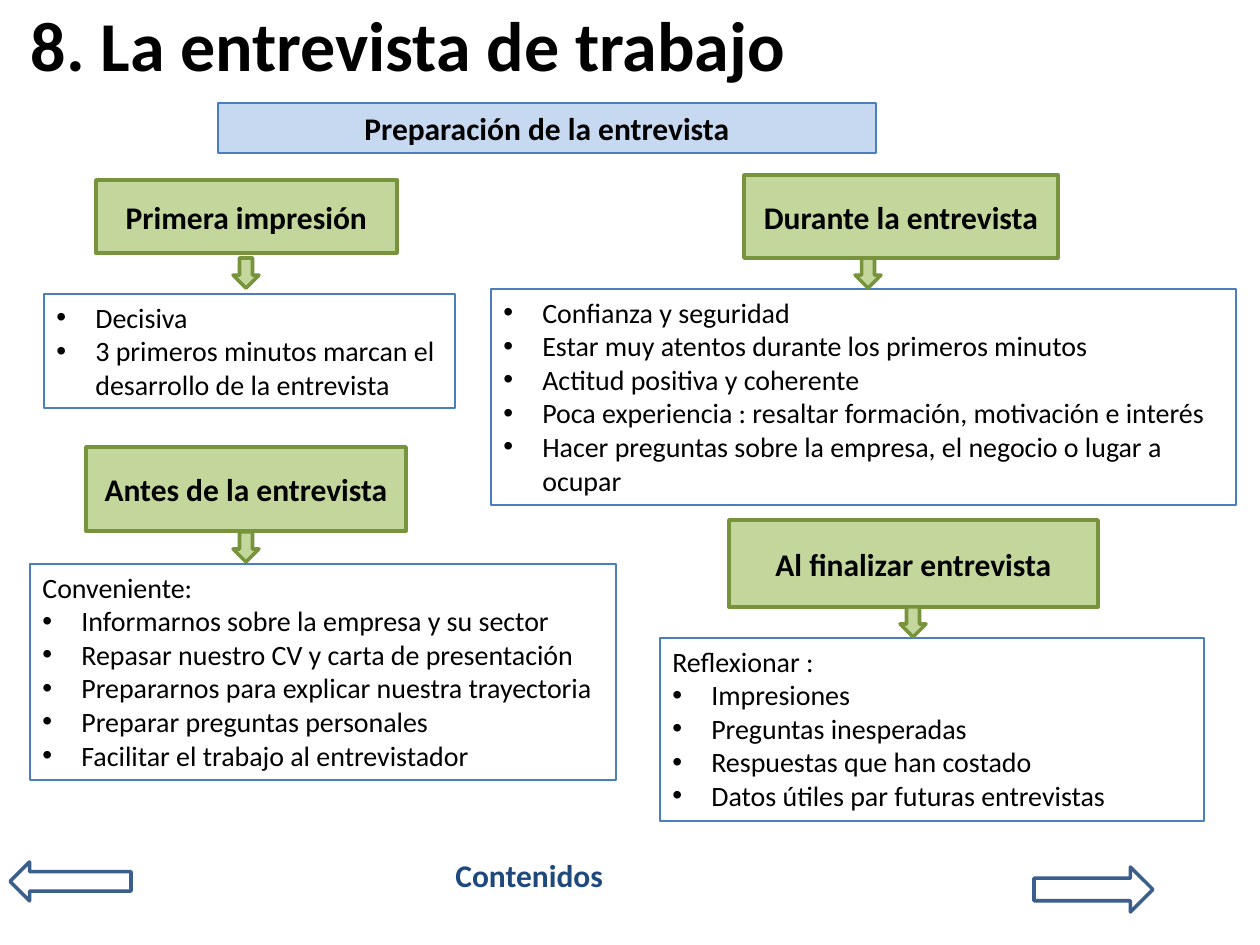
from pptx import Presentation
from pptx import util as u
from pptx.dml.color import RGBColor
from pptx.enum import shapes, text
from lxml import etree

BLACK = RGBColor(0, 0, 0)
NAVY = RGBColor(0x1F, 0x49, 0x7D)
SKY = RGBColor(0xC6, 0xD9, 0xF1)
BLUE = RGBColor(0x4B, 0x7E, 0xBC)
STEEL = RGBColor(0x3A, 0x5F, 0x8C)
GREEN = RGBColor(0xC3, 0xD6, 0x9B)
OLIVE = RGBColor(0x77, 0x93, 0x3C)
KIND = shapes.MSO_SHAPE
MID = text.MSO_ANCHOR.MIDDLE
TOP = text.MSO_ANCHOR.TOP
LEFT = text.PP_ALIGN.LEFT
CENTER = text.PP_ALIGN.CENTER

TITLE = "8. La entrevista de trabajo"
BANNER = "Preparación de la entrevista"
GROUPS = [
    dict(head="Primera impresión", head_at=(96, 180, 301, 73),
         arrow=(246, 273), box=(44, 294, 411, 114), lead=None,
         items=["Decisiva", "3 primeros minutos marcan el desarrollo de la entrevista"]),
    dict(head="Durante la entrevista", head_at=(744, 175, 314, 83),
         arrow=(868, 273), box=(491, 289, 745, 216), lead=None,
         items=["Confianza y seguridad",
                "Estar muy atentos durante los primeros minutos",
                "Actitud positiva y coherente",
                "Poca experiencia : resaltar formación, motivación e interés",
                "Hacer preguntas sobre la empresa, el negocio o lugar a ocupar"]),
    dict(head="Antes de la entrevista", head_at=(86, 447, 320, 84),
         arrow=(246, 547), box=(30, 564, 586, 216), lead="Conveniente:",
         items=["Informarnos sobre la empresa y su sector",
                "Repasar nuestro CV y carta de presentación",
                "Prepararnos para explicar nuestra trayectoria",
                "Preparar preguntas personales",
                "Facilitar el trabajo al entrevistador"]),
    dict(head="Al finalizar entrevista", head_at=(729, 520, 369, 87),
         arrow=(913, 622), box=(660, 638, 544, 183), lead="Reflexionar :",
         items=["Impresiones", "Preguntas inesperadas",
                "Respuestas que han costado",
                "Datos útiles par futuras entrevistas"]),
]
NAV = [(KIND.LEFT_ARROW, (10, 862, 121, 39)),
       (KIND.RIGHT_ARROW, (1034, 867, 119, 45))]


def px(n):
    return round(n * 914400 / 126)


def write(shape, lines, size, color=BLACK, bold=False, align=LEFT, anchor=TOP):
    frame = shape.text_frame
    frame.text = "\n".join(lines)
    frame.word_wrap = True
    frame.vertical_anchor = anchor
    for par in frame.paragraphs:
        par.alignment = align
        for run in par.runs:
            font = run.font
            font.name, font.size, font.bold = "Calibri", u.Pt(size), bold
            font.color.rgb = color


def draw(kind, at, line, width, fill=None):
    shape = slide.shapes.add_shape(kind, *map(px, at))
    shape.shadow.inherit = False
    shape.line.color.rgb = line
    shape.line.width = u.Pt(width)
    if fill is None:
        shape.fill.background()
    else:
        shape.fill.solid()
        shape.fill.fore_color.rgb = fill
    return shape


def bullet(par):
    props = par._p.get_or_add_pPr()
    props.set("marL", str(px(39)))
    props.set("indent", str(-px(39)))
    ns = "{http://schemas.openxmlformats.org/drawingml/2006/main}"
    etree.SubElement(props, ns + "buFont").set("typeface", "Arial")
    etree.SubElement(props, ns + "buChar").set("char", "•")


deck = Presentation()
deck.slide_width, deck.slide_height = u.Inches(10), u.Inches(7.5)
slide = deck.slides.add_slide(deck.slide_layouts[5])

title = slide.shapes.title
title.left, title.top, title.width, title.height = map(px, (18, 4, 1187, 79))
write(title, [TITLE], 40, bold=True, anchor=MID)
title.text_frame.auto_size = text.MSO_AUTO_SIZE.NONE

banner = draw(KIND.RECTANGLE, (218, 103, 658, 50), BLUE, 0.75, SKY)
write(banner, [BANNER], 18, bold=True, align=CENTER)

for group in GROUPS:
    head = draw(KIND.RECTANGLE, group["head_at"], OLIVE, 2, GREEN)
    write(head, [group["head"]], 18, bold=True, align=CENTER, anchor=MID)

    box = draw(KIND.RECTANGLE, group["box"], BLUE, 0.75)
    lead = [group["lead"]] if group["lead"] else []
    write(box, lead + group["items"], 16)
    for par in box.text_frame.paragraphs[len(lead):]:
        bullet(par)

    x, y = group["arrow"]
    arrow = draw(KIND.RIGHT_ARROW, (x - 15, y - 13, 30, 26), OLIVE, 2, GREEN)
    arrow.rotation = 90

for kind, at in NAV:
    draw(kind, at, STEEL, 2)

link = slide.shapes.add_textbox(*map(px, (443, 850, 182, 50)))
write(link, ["Contenidos"], 18, NAVY, True)

deck.save("out.pptx")
